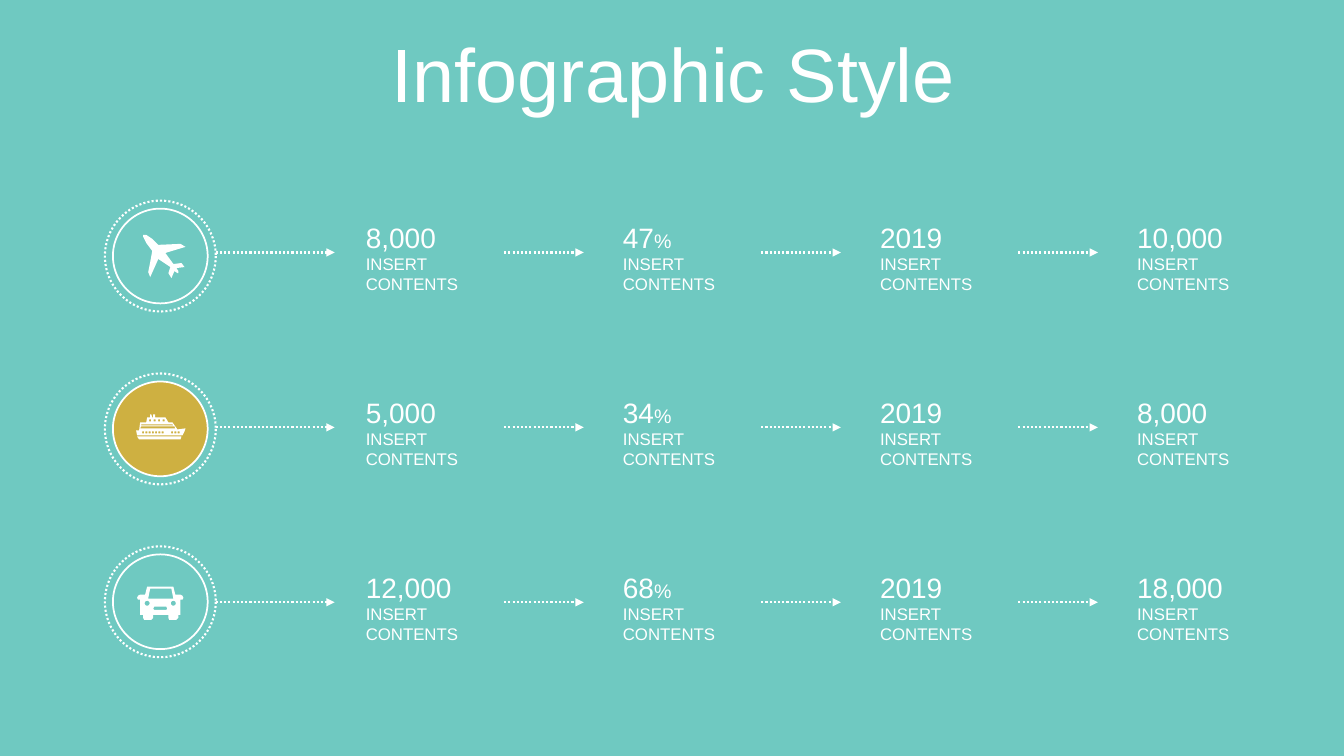
from math import cos, pi, sin

from lxml.etree import SubElement
from pptx import Presentation
from pptx.dml.color import RGBColor
from pptx.enum.dml import MSO_LINE
from pptx.enum.shapes import MSO_CONNECTOR, MSO_SHAPE
from pptx.enum.text import MSO_ANCHOR, MSO_AUTO_SIZE, PP_ALIGN
from pptx.oxml.ns import qn
from pptx.util import Inches, Pt

COLORS = {"teal": "6FC9C1", "gold": "F7A60B", "white": "FFFFFF"}
RGB = {name: RGBColor.from_string(value) for name, value in COLORS.items()}
ROW_STEP, RING_STEP, COLUMN_STEP = 1.735, 1.715, 2.55

# Icon outlines in inches: the body first, then the openings cut into it.
plane = [[
    (1.83, 2.65), (1.75, 2.66), (1.77, 2.69), (1.77, 2.71), (1.76, 2.71),
    (1.73, 2.69), (1.7, 2.76), (1.67, 2.71), (1.69, 2.65), (1.57, 2.57),
    (1.49, 2.75), (1.47, 2.7), (1.49, 2.6), (1.51, 2.49), (1.45, 2.41),
    (1.42, 2.35), (1.42, 2.33), (1.45, 2.33), (1.51, 2.37), (1.57, 2.43),
    (1.79, 2.42), (1.84, 2.45), (1.64, 2.51), (1.72, 2.62), (1.8, 2.61),
]]
ship = [
    [(1.52, 4.11), (1.54, 4.11), (1.54, 4.14), (1.64, 4.14), (1.67, 4.19),
     (1.71, 4.19), (1.76, 4.26), (1.84, 4.25), (1.83, 4.28), (1.81, 4.32),
     (1.36, 4.32), (1.35, 4.27), (1.38, 4.27), (1.39, 4.19), (1.45, 4.19),
     (1.46, 4.14), (1.49, 4.14), (1.49, 4.11), (1.5, 4.11), (1.51, 4.14),
     (1.52, 4.14)],
    [(1.36, 4.33), (1.8, 4.33), (1.79, 4.36), (1.38, 4.36)],
    [(1.4, 4.23), (1.39, 4.25), (1.74, 4.25), (1.73, 4.23)],
    [(1.4, 4.21), (1.4, 4.22), (1.72, 4.22), (1.71, 4.21)],
]
portholes = [(1.41 + 0.032 * i, 4.28) for i in (0, 1, 2, 3, 4, 5, 6, 9, 10, 11)]
cabin_windows = [(1.48 + 0.044 * i, 4.16) for i in range(4)]
for x, y in portholes + cabin_windows:
    ship.append([(x, y), (x, y + 0.02), (x + 0.02, y + 0.02), (x + 0.02, y)])
car = [
    [(1.46, 5.82), (1.72, 5.82), (1.74, 5.9), (1.79, 5.9), (1.81, 5.91),
     (1.82, 5.93), (1.81, 5.95), (1.79, 5.95), (1.79, 6.1), (1.77, 6.1),
     (1.77, 6.13), (1.75, 6.15), (1.68, 6.15), (1.67, 6.13), (1.67, 6.1),
     (1.52, 6.1), (1.52, 6.13), (1.5, 6.15), (1.43, 6.15), (1.42, 6.13),
     (1.42, 6.1), (1.39, 6.1), (1.39, 5.95), (1.37, 5.95), (1.36, 5.93),
     (1.37, 5.91), (1.39, 5.9), (1.44, 5.9)],
    [(1.49, 5.84), (1.47, 5.94), (1.72, 5.94), (1.7, 5.84)],
    [(1.53, 6.02), (1.52, 6.04), (1.53, 6.05), (1.65, 6.05), (1.66, 6.04),
     (1.65, 6.02)],
]
for center in (1.46, 1.72):
    angles = [pi * step / 8 for step in range(16)]
    car.append([(center + 0.025 * cos(a), 5.985 + 0.025 * sin(a)) for a in angles])

rows = [
    ("teal", 70, plane, ["8,000", "47%", "2019", "10,000"]),
    ("gold", 70, ship, ["5,000", "34%", "2019", "8,000"]),
    ("teal", 60, car, ["12,000", "68%", "2019", "18,000"]),
]

deck = Presentation()
deck.slide_width, deck.slide_height = Inches(13.33), Inches(7.5)
page = deck.slides.add_slide(deck.slide_layouts[5])
page.background.fill.solid()
page.background.fill.fore_color.rgb = RGB["teal"]


def add_span(para, text, size):
    span = para.add_run()
    span.text = text
    span.font.name = "Arial"
    span.font.size = Pt(size)
    span.font.color.rgb = RGB["white"]


def add_text_box(left, top, height, anchor, wrap):
    """Add an empty text box of the common width and return its frame."""
    box = page.shapes.add_textbox(
        Inches(left), Inches(top), Inches(1.17), Inches(height))
    frame = box.text_frame
    frame.word_wrap = wrap
    frame.auto_size = MSO_AUTO_SIZE.SHAPE_TO_FIT_TEXT
    frame.vertical_anchor = anchor
    return frame


title = page.shapes.title
title.left, title.top = Inches(0.35), Inches(0.31)
title.width, title.height = Inches(12.66), Inches(0.92)
title.text_frame.vertical_anchor = MSO_ANCHOR.MIDDLE
title_para = title.text_frame.paragraphs[0]
title_para.alignment = PP_ALIGN.CENTER
title_para.line_spacing = 0.9
add_span(title_para, "Infographic Style", 54)

for row, (fill, opacity, icon, values) in enumerate(rows):
    # Badge: solid disc, dotted ring and icon
    ring_top = 1.99 + RING_STEP * row
    for inset, weight in ((0.08, 1.25), (0, 1.5)):
        size = Inches(1.1 - 2 * inset)
        circle = page.shapes.add_shape(
            MSO_SHAPE.OVAL, Inches(1.04 + inset), Inches(ring_top + inset), size, size)
        circle.shadow.inherit = False
        circle.line.color.rgb = RGB["white"]
        circle.line.width = Pt(weight)
        if inset:
            circle.fill.solid()
            circle.fill.fore_color.rgb = RGB[fill]
            color = circle.fill._xPr.find(qn("a:solidFill"))[0]
            SubElement(color, qn("a:alpha"), val=str(opacity * 1000))
        else:
            circle.fill.background()
            circle.rotation = 180
            circle.line.dash_style = MSO_LINE.ROUND_DOT

    outlines = [[(Inches(x), Inches(y)) for x, y in outline] for outline in icon]
    builder = page.shapes.build_freeform(*outlines[0][0])
    builder.add_line_segments(outlines[0][1:], close=True)
    for outline in outlines[1:]:
        builder.move_to(*outline[0])
        builder.add_line_segments(outline[1:], close=True)
    symbol = builder.convert_to_shape()
    symbol.shadow.inherit = False
    symbol.fill.solid()
    symbol.fill.fore_color.rgb = RGB["white"]
    symbol.line.fill.background()

    for column, value in enumerate(values):
        # Arrow leading to the figure
        offset = COLUMN_STEP * column
        end = 3.24 + offset if column else 3.32
        start = end - 0.79 if column else 2.14
        arrow_y = Inches(2.505 + ROW_STEP * row)
        arrow = page.shapes.add_connector(
            MSO_CONNECTOR.STRAIGHT, Inches(start), arrow_y, Inches(end), arrow_y)
        arrow.line.color.rgb = RGB["white"]
        arrow.line.width = Pt(1.5)
        arrow.line.dash_style = MSO_LINE.ROUND_DOT
        SubElement(arrow.line._get_or_add_ln(), qn("a:tailEnd"), type="triangle")
        SubElement(arrow._element.spPr, qn("a:effectLst"))

        # Figure and its caption
        left, top = 3.53 + offset, 2.13 + ROW_STEP * row
        frame = add_text_box(left, top + 0.34, 0.5, MSO_ANCHOR.TOP, False)
        add_span(frame.paragraphs[0], "INSERT", 12)
        add_span(frame.add_paragraph(), "CONTENTS", 12)
        frame = add_text_box(left, top, 0.44, MSO_ANCHOR.BOTTOM, True)
        add_span(frame.paragraphs[0], value.rstrip("%"), 20)
        if value.endswith("%"):
            add_span(frame.paragraphs[0], "%", 14)

deck.save("out.pptx")
